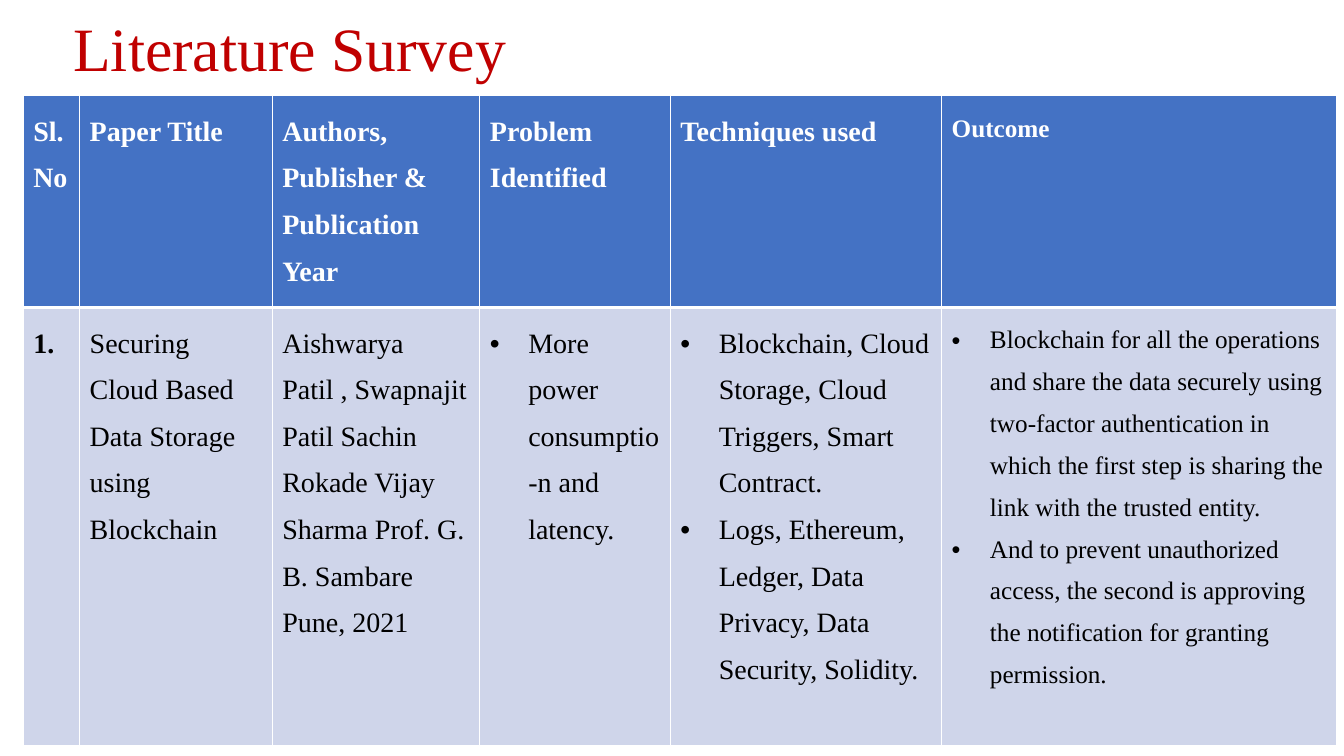
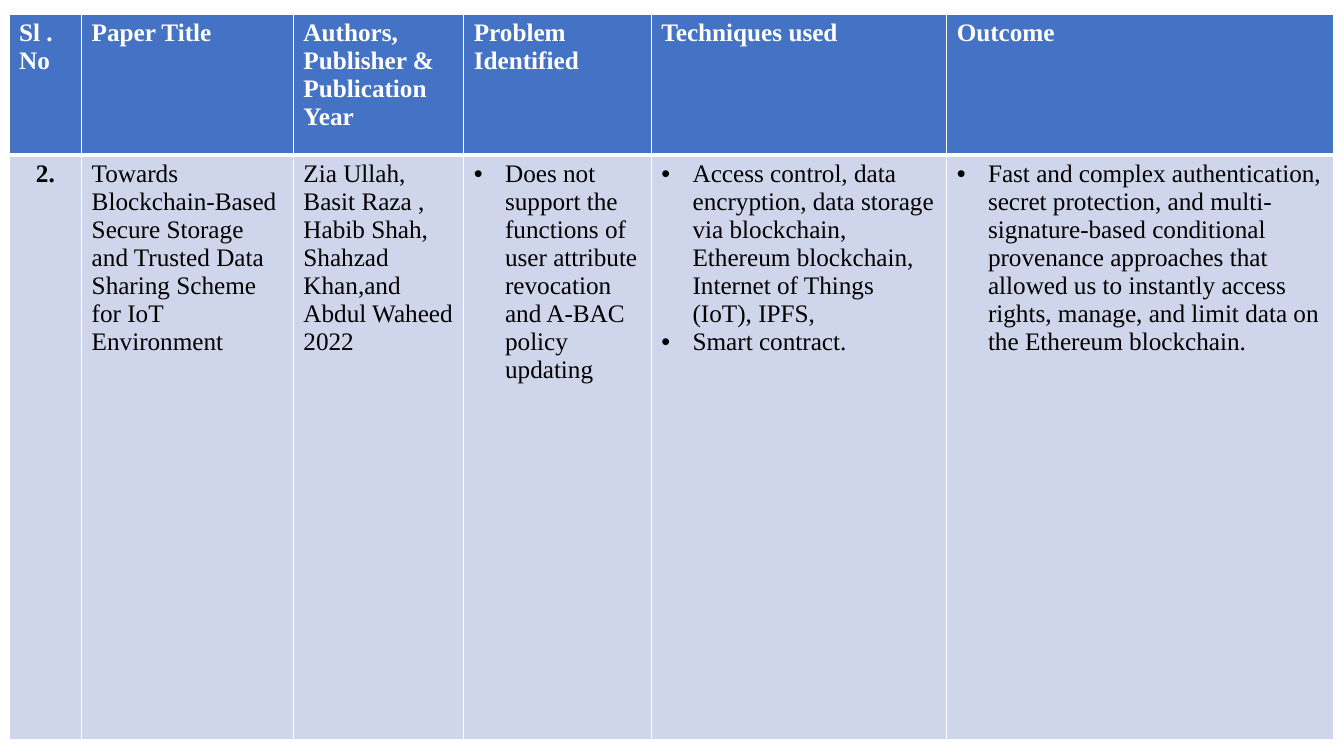
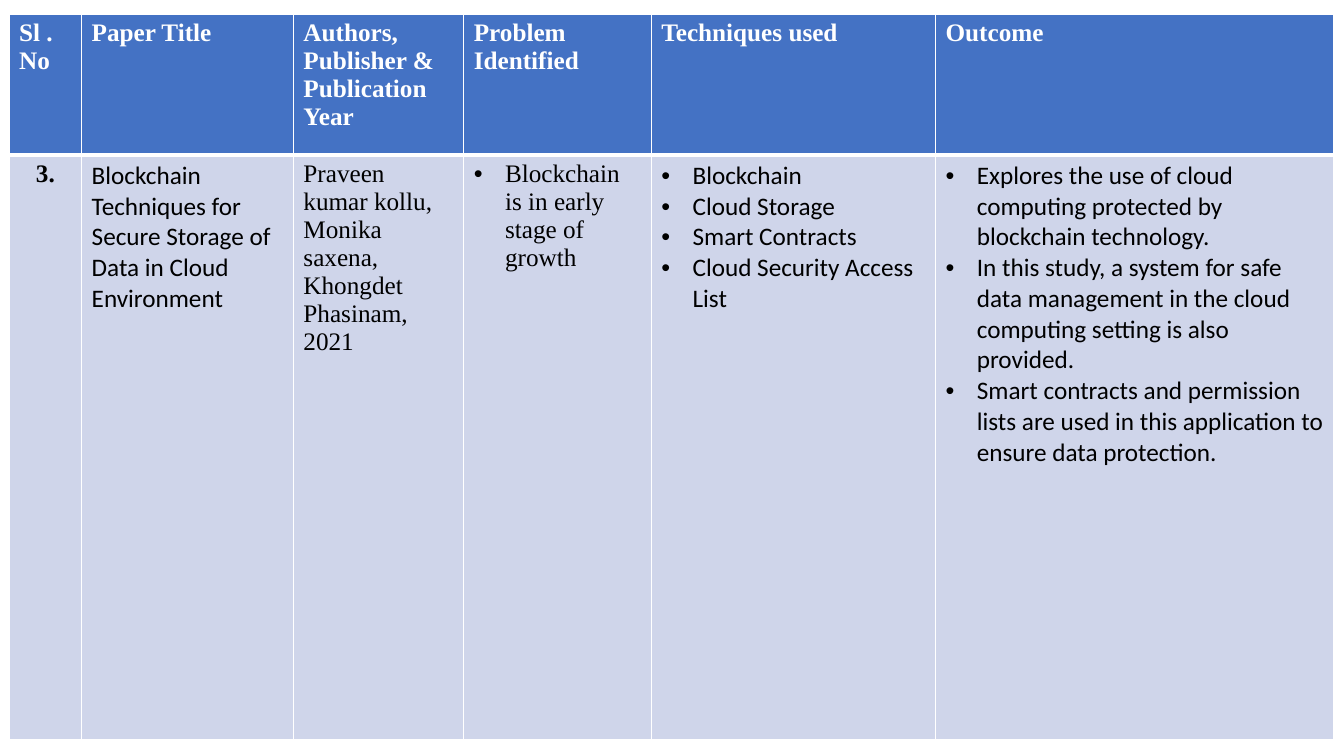
from dataclasses import dataclass

from lxml import etree
from pptx import Presentation
from pptx import util as u
from pptx.dml.color import RGBColor
from pptx.enum import text
from pptx.oxml import ns

SERIF = "Times New Roman"
SANS = "Calibri"
TITLE_RED = RGBColor(0xC0, 0x00, 0x00)
HEADER_BLUE = RGBColor(0x44, 0x72, 0xC4)
BODY_BLUE = RGBColor(0xCF, 0xD5, 0xEA)
WHITE = RGBColor(0xFF, 0xFF, 0xFF)
BLACK = RGBColor(0x00, 0x00, 0x00)

THIN, THICK = 1, 3
HEADINGS = (
    "Paper Title",
    "Authors, Publisher & Publication Year",
    "Problem Identified",
    "Techniques used",
    "Outcome",
)


@dataclass(frozen=True)
class Entry:
    """Content of one body cell."""
    lines: tuple[str, ...]
    bulleted: bool = False
    font: str = SERIF


@dataclass(frozen=True)
class TableStyle:
    left: float
    top: float
    row_heights: tuple[float, float]
    number_heading: str
    size: int
    outcome_size: int
    indent: float
    line_spacing: float
    number_align: text.PP_ALIGN


@dataclass(frozen=True)
class Survey:
    """One surveyed paper, shown as a table on its own page."""
    number: str
    style: TableStyle
    columns: tuple[float, ...]
    entries: tuple[Entry, ...]
    title: str = ""


OPENING = TableStyle(0.23, 0.95, (1.96, 4.35), "Sl. No", 20, 18, 0.38, 1.5,
                     text.PP_ALIGN.LEFT)
FOLLOWING = TableStyle(0.09, 0.14, (1.4, 5.8), "Sl . No", 18, 18, 0.31, 1.0,
                       text.PP_ALIGN.CENTER)

SURVEYS = (
    Survey(
        "1.", OPENING, (0.56, 1.91, 2.06, 1.89, 2.69, 3.92),
        (
            Entry(("Securing Cloud Based Data Storage using Blockchain",)),
            Entry(("Aishwarya Patil , Swapnajit Patil Sachin Rokade Vijay "
                   "Sharma Prof. G. B. Sambare Pune, 2021",)),
            Entry(("More power consumptio-n and latency.",), True),
            Entry((
                "Blockchain, Cloud Storage, Cloud Triggers, Smart Contract.",
                "Logs, Ethereum, Ledger, Data Privacy, Data Security, Solidity.",
            ), True),
            Entry((
                "Blockchain for all the operations and share the data securely "
                "using two-factor authentication in which the first step is "
                "sharing the link with the trusted entity.",
                "And to prevent unauthorized access, the second is approving "
                "the notification for granting permission.",
            ), True),
        ),
        title="Literature Survey",
    ),
    Survey(
        "2.", FOLLOWING, (0.72, 2.1, 1.69, 1.86, 2.93, 3.84),
        (
            Entry(("Towards Blockchain-Based Secure Storage and Trusted Data "
                   "Sharing Scheme for IoT Environment",)),
            Entry(("Zia Ullah, Basit Raza , Habib Shah, Shahzad Khan,and "
                   "Abdul Waheed 2022",)),
            Entry(("Does not support the functions of user attribute "
                   "revocation and A-BAC policy updating",), True),
            Entry((
                "Access control, data encryption, data storage via blockchain, "
                "Ethereum blockchain, Internet of Things (IoT), IPFS,",
                "Smart contract.",
            ), True),
            Entry(("Fast and complex authentication, secret protection, and "
                   "multi-signature-based conditional provenance approaches "
                   "that allowed us to instantly access rights, manage, and "
                   "limit data on the Ethereum blockchain.",), True),
        ),
    ),
    Survey(
        "3.", FOLLOWING, (0.72, 2.1, 1.69, 1.86, 2.82, 3.95),
        (
            Entry(("Blockchain Techniques for Secure Storage of Data in Cloud "
                   "Environment",), font=SANS),
            Entry(("Praveen kumar kollu,", "Monika saxena, Khongdet Phasinam,",
                   "2021")),
            Entry(("Blockchain is in early stage of growth",), True),
            Entry(("Blockchain", "Cloud Storage", "Smart Contracts",
                   "Cloud Security Access List"), True, SANS),
            Entry((
                "Explores the use of cloud computing protected by blockchain "
                "technology.",
                "In this study, a system for safe data management in the cloud "
                "computing setting is also provided.",
                "Smart contracts and permission lists are used in this "
                "application to ensure data protection.",
            ), True, SANS),
        ),
    ),
)


def add_bullet(para, indent: float) -> None:
    properties = para._p.get_or_add_pPr()
    properties.set("marL", str(u.Inches(indent)))
    properties.set("indent", str(-u.Inches(indent)))
    etree.SubElement(properties, ns.qn("a:buFont"), typeface="Arial")
    etree.SubElement(properties, ns.qn("a:buChar"), char="•")


def write(frame, lines: tuple[str, ...], *, size: int, color: RGBColor,
          font: str = SERIF, bold: bool = False, spacing: float = 1.0,
          align: text.PP_ALIGN = text.PP_ALIGN.LEFT,
          bullet_indent: float = 0) -> None:
    """Fill a text frame with one formatted paragraph per line."""
    frame.word_wrap = True
    for index, line in enumerate(lines):
        para = frame.paragraphs[0] if index == 0 else frame.add_paragraph()
        para.alignment = align
        para.line_spacing = spacing
        if bullet_indent:
            add_bullet(para, bullet_indent)
        span = para.add_run()
        span.text = line
        span.font.name = font
        span.font.size = u.Pt(size)
        span.font.bold = bold
        span.font.color.rgb = color


def paint_cell(cell, fill: RGBColor, top: int, bottom: int) -> None:
    """Set the fill and the white borders; widths are in points."""
    cell.fill.solid()
    cell.fill.fore_color.rgb = fill
    properties = cell._tc.get_or_add_tcPr()
    widths = {"lnL": THIN, "lnR": THIN, "lnT": top, "lnB": bottom}
    for position, (side, width) in enumerate(widths.items()):
        line = etree.Element(ns.qn(f"a:{side}"), w=str(u.Pt(width)))
        solid = etree.SubElement(line, ns.qn("a:solidFill"))
        etree.SubElement(solid, ns.qn("a:srgbClr"), val=str(WHITE))
        properties.insert(position, line)


def add_title(page, title: str) -> None:
    box = page.shapes.add_textbox(u.Inches(0.63), u.Inches(0),
                                  u.Inches(11.54), u.Inches(1.02))
    box.text_frame.vertical_anchor = text.MSO_ANCHOR.MIDDLE
    write(box.text_frame, (title,), size=44, color=TITLE_RED, spacing=0.9)


def add_survey_table(page, survey: Survey) -> None:
    style = survey.style
    table = page.shapes.add_table(
        2, len(survey.columns), u.Inches(style.left), u.Inches(style.top),
        u.Inches(sum(survey.columns)), u.Inches(sum(style.row_heights)),
    ).table
    table.horz_banding = False
    for column, width in zip(table.columns, survey.columns):
        column.width = u.Inches(width)
    for row, height in zip(table.rows, style.row_heights):
        row.height = u.Inches(height)

    headings = (style.number_heading, *HEADINGS)
    entries = (Entry((survey.number,)), *survey.entries)
    last = len(headings) - 1
    for index, (heading, entry) in enumerate(zip(headings, entries)):
        size = style.outcome_size if index == last else style.size
        is_number = index == 0
        header, body = table.cell(0, index), table.cell(1, index)
        paint_cell(header, HEADER_BLUE, THIN, THICK)
        paint_cell(body, BODY_BLUE, THICK, THIN)
        write(header.text_frame, (heading,), size=size, color=WHITE, bold=True,
              spacing=style.line_spacing)
        write(body.text_frame, entry.lines, size=size, color=BLACK,
              font=entry.font, bold=is_number, spacing=style.line_spacing,
              align=style.number_align if is_number else text.PP_ALIGN.LEFT,
              bullet_indent=style.indent if entry.bulleted else 0)


def main() -> None:
    deck = Presentation()
    deck.slide_width, deck.slide_height = u.Inches(13.33), u.Inches(7.5)
    blank = deck.slide_layouts[6]
    for survey in SURVEYS:
        page = deck.slides.add_slide(blank)
        if survey.title:
            add_title(page, survey.title)
        add_survey_table(page, survey)
    deck.save("out.pptx")


if __name__ == "__main__":
    main()
